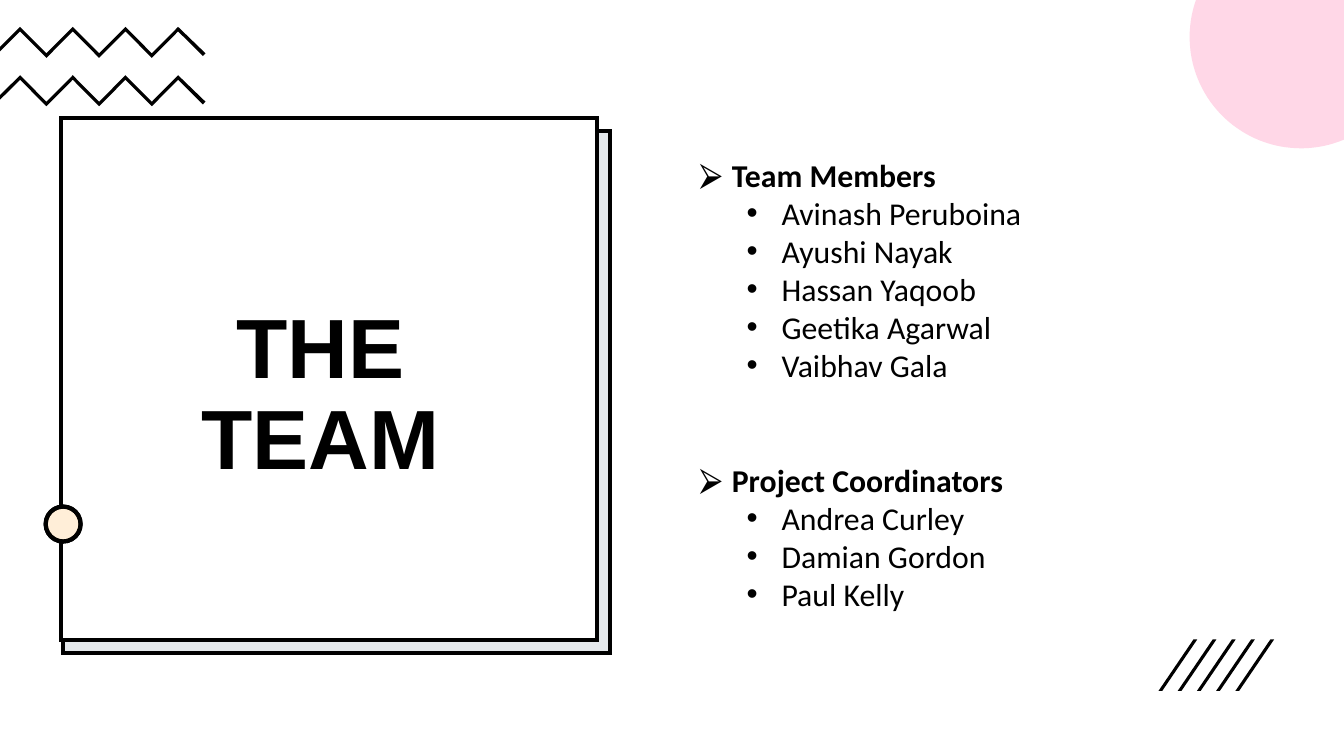
from dataclasses import dataclass
from math import acos, asin, cos, pi, sin

from lxml.etree import SubElement
from pptx import Presentation
from pptx.dml.color import RGBColor
from pptx.enum.shapes import MSO_SHAPE as Preset
from pptx.enum.text import MSO_ANCHOR as Anchor, PP_ALIGN as Align
from pptx.oxml.ns import qn
from pptx.util import Emu, Inches, Pt

WIDTH = Inches(10)
HEIGHT = Emu(WIDTH * 9 // 16)
COLOURS = {"ink": "000000", "paper": "FFFFFF", "pink": "FFD7E7",
           "slate": "78909C", "amber": "FFAB40"}


@dataclass(frozen=True)
class Area:
    """A rectangle in percent of the slide's width and height."""
    left: float
    top: float
    width: float
    height: float

    def emu(self) -> tuple[Emu, Emu, Emu, Emu]:
        return (across(self.left), down(self.top),
                across(self.width), down(self.height))


@dataclass(frozen=True)
class Outlined:
    area: Area
    preset: Preset
    colour: str
    opacity: int = 100


@dataclass(frozen=True)
class Group:
    heading: str
    names: tuple[str, ...]


def across(percent: float) -> Emu:
    return Emu(round(WIDTH * percent / 100))


def down(percent: float) -> Emu:
    return Emu(round(HEIGHT * percent / 100))


def rgb(name: str) -> RGBColor:
    return RGBColor.from_string(COLOURS[name])


def draw_outlined(slide, item: Outlined) -> None:
    shape = slide.shapes.add_shape(item.preset, *item.area.emu())
    shape.shadow.inherit = False
    shape.fill.solid()
    shape.fill.fore_color.rgb = rgb(item.colour)
    if item.opacity < 100:
        colour = shape.fill._xPr.find(".//" + qn("a:srgbClr"))
        SubElement(colour, qn("a:alpha"), val=str(item.opacity * 1000))
    shape.line.color.rgb = rgb("ink")
    shape.line.width = Pt(2.25)
    SubElement(shape.line._ln, qn("a:miter"), lim="800000")


def draw_polygon(slide, points: list[tuple[float, float]], colour: str) -> None:
    corners = [(across(x), down(y)) for x, y in points]
    builder = slide.shapes.build_freeform(*corners[0])
    builder.add_line_segments(corners[1:], close=True)
    shape = builder.convert_to_shape()
    shape.shadow.inherit = False
    shape.fill.solid()
    shape.fill.fore_color.rgb = rgb(colour)
    shape.line.fill.background()


def draw_zigzag(slide, top: float) -> None:
    start, step, depth, thick = 1.5, 1.96, 3.5, 0.6
    turns = [(start + i * step, top + depth * (i % 2)) for i in range(7)]
    upper = turns + [(15.3, top + depth)]
    lower = [(15.1, top + depth + 0.36)]
    lower += [(x, y + thick) for x, y in reversed(turns)]
    edge = [(0, top + 3.25), (0, top + 2.65)]
    draw_polygon(slide, upper + lower + edge, "ink")


def draw_corner_disc(slide) -> None:
    """Draw the part of a disc that lies within the top right corner."""
    centre_x, centre_y, radius, steps = 96.8, 4.9, 8.28, 48
    aspect = WIDTH / HEIGHT
    first = acos((100 - centre_x) / radius)
    last = pi + asin(centre_y / aspect / radius)
    angles = [first + (last - first) * i / steps for i in range(steps + 1)]
    arc = [(centre_x + radius * cos(a), centre_y + radius * aspect * sin(a))
           for a in angles]
    draw_polygon(slide, arc + [(100, 0)], "pink")


def draw_strokes(slide) -> None:
    top, bottom, lean, thick = 84.6, 91.4, 2.6, 0.28
    for i in range(5):
        x = 86.2 + i * 1.43
        draw_polygon(slide, [(x, bottom), (x + lean, top),
                             (x + lean + thick, top), (x + thick, bottom)], "ink")


def add_text_frame(slide, area: Area):
    frame = slide.shapes.add_textbox(*area.emu()).text_frame
    frame.word_wrap = True
    frame.margin_left = frame.margin_right = Inches(0.07)
    frame.margin_top = frame.margin_bottom = Inches(0.04)
    return frame


def style_runs(paragraph, font: str, size: float, bold: bool) -> None:
    for run in paragraph.runs:
        run.font.name, run.font.size, run.font.bold = font, Pt(size), bold
        run.font.color.rgb = rgb("ink")


def draw_title(slide) -> None:
    frame = add_text_frame(slide, Area(8.3, 17.07, 31.1, 48.18))
    frame.vertical_anchor = Anchor.BOTTOM
    title = frame.paragraphs[0]
    title.text = "THE TEAM"
    title.alignment = Align.CENTER
    title.line_spacing = 0.9
    style_runs(title, "Arial", 45, True)


def write_bullet(paragraph, text: str, mark: str, indent: float, level: int) -> None:
    paragraph.text = text
    paragraph.level = level
    props = paragraph._p.get_or_add_pPr()
    props.set("marL", str(Inches(indent)))
    props.set("indent", str(Inches(-0.26)))
    colour = SubElement(props, qn("a:buClr"))
    SubElement(colour, qn("a:srgbClr"), val=COLOURS["ink"])
    SubElement(props, qn("a:buFont"), typeface="Arial")
    SubElement(props, qn("a:buChar"), char=mark)
    style_runs(paragraph, "Calibri", 17, level == 0)


def draw_people(slide, groups: list[Group]) -> None:
    frame = add_text_frame(slide, Area(51.35, 19.85, 42.8, 49.78))
    for number, group in enumerate(groups):
        heading = frame.add_paragraph() if number else frame.paragraphs[0]
        if number:
            heading.space_before = Pt(41)
        write_bullet(heading, group.heading, "⮚", 0.24, 0)
        for name in group.names:
            write_bullet(frame.add_paragraph(), name, "•", 0.61, 1)


CARDS = [
    Outlined(Area(4.7, 17.38, 40.7, 68.98), Preset.RECTANGLE, "slate", 20),
    Outlined(Area(4.54, 15.64, 39.9, 68.98), Preset.RECTANGLE, "paper"),
]
DOT = Outlined(Area(3.4, 67.02, 2.6, 4.62), Preset.OVAL, "amber", 20)
PAPER_DOT = Outlined(DOT.area, Preset.OVAL, "paper")
PEOPLE = [
    Group("Team Members", ("Avinash Peruboina", "Ayushi Nayak", "Hassan Yaqoob",
                           "Geetika Agarwal", "Vaibhav Gala")),
    Group("Project Coordinators", ("Andrea Curley", "Damian Gordon", "Paul Kelly")),
]


def main() -> None:
    deck = Presentation()
    deck.slide_width, deck.slide_height = WIDTH, HEIGHT
    slide = deck.slides.add_slide(deck.slide_layouts[6])
    for top in (3.56, 9.96):
        draw_zigzag(slide, top)
    for card in CARDS:
        draw_outlined(slide, card)
    draw_title(slide)
    draw_corner_disc(slide)
    for dot in (PAPER_DOT, DOT):
        draw_outlined(slide, dot)
    draw_strokes(slide)
    draw_people(slide, PEOPLE)
    deck.save("out.pptx")


if __name__ == "__main__":
    main()
